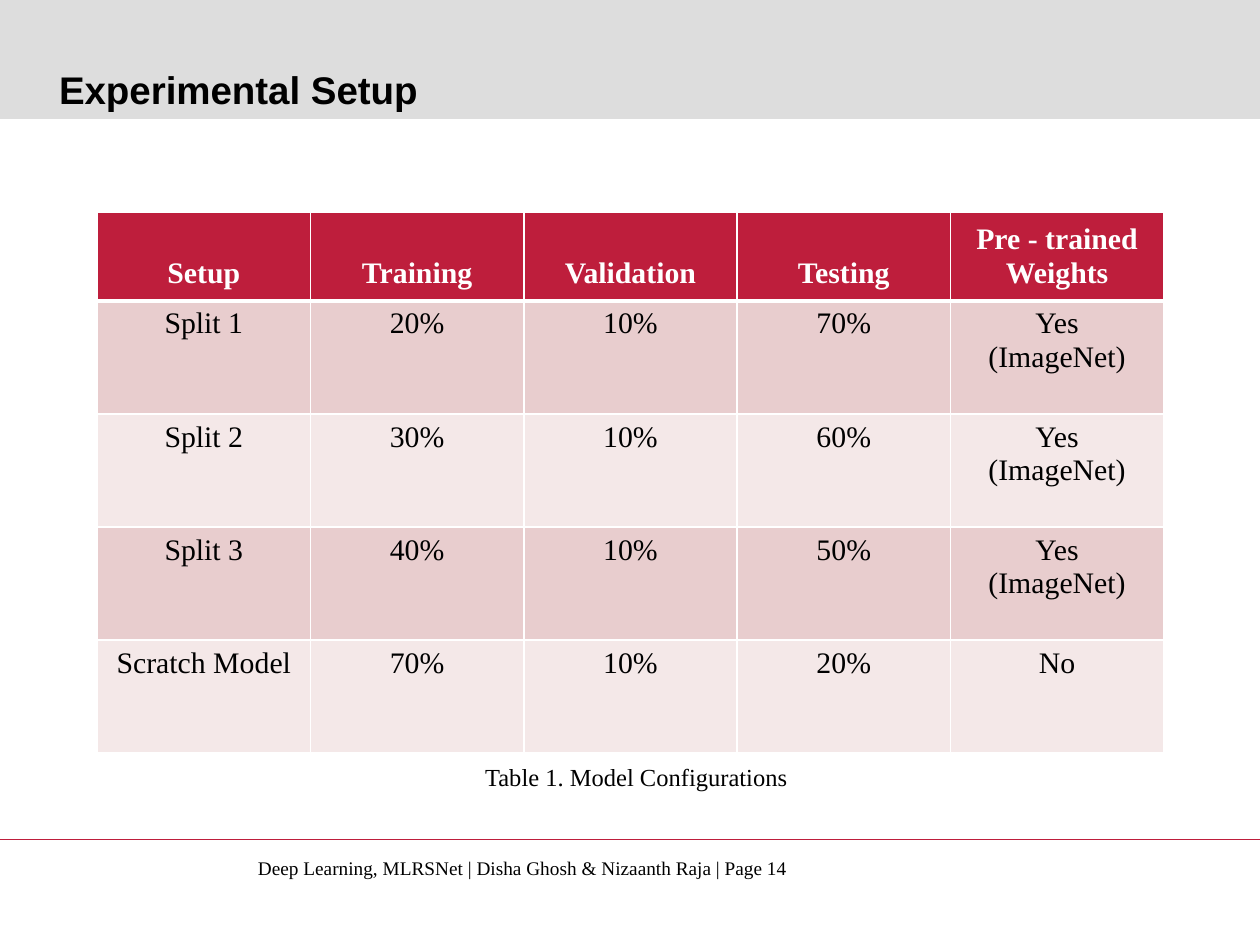
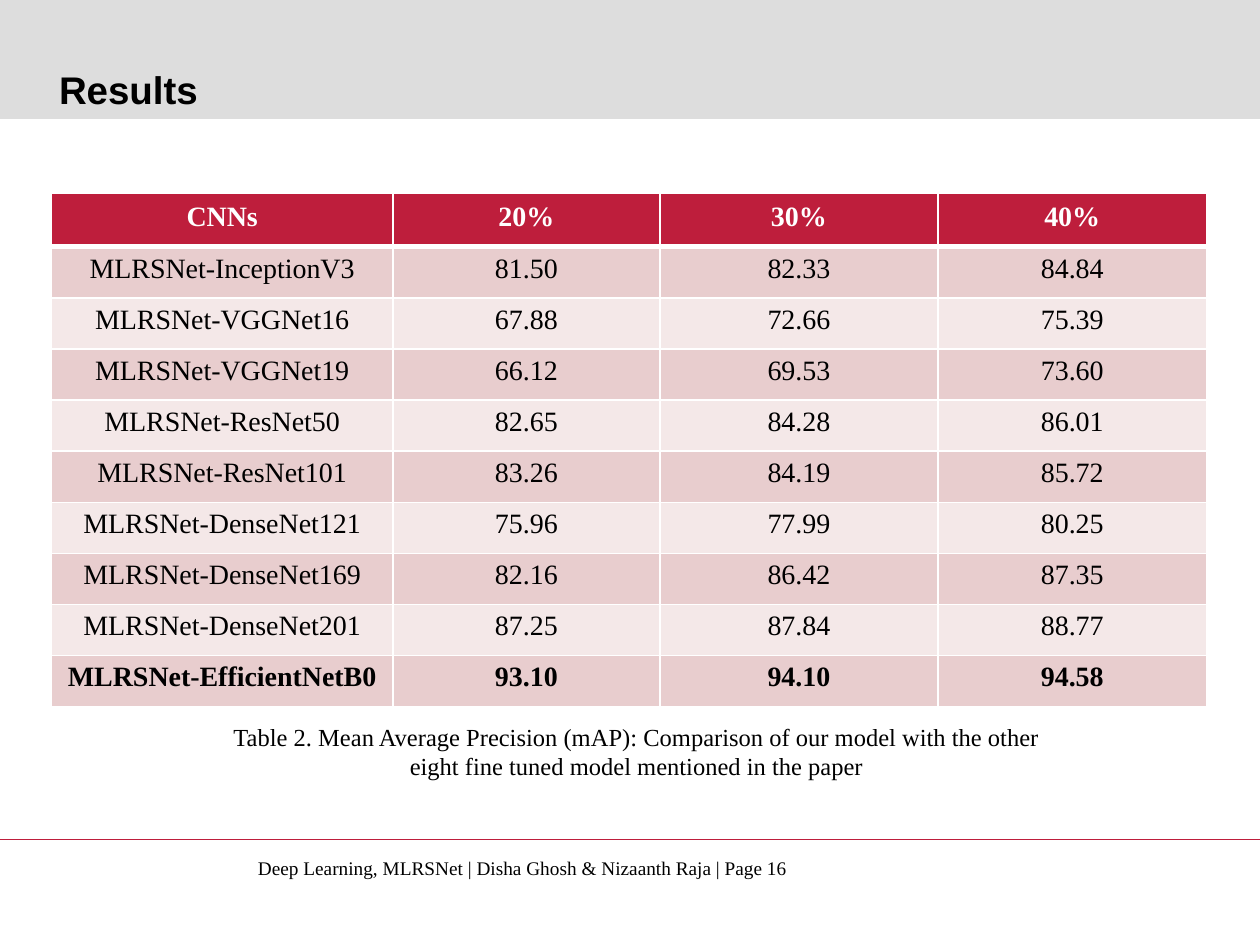
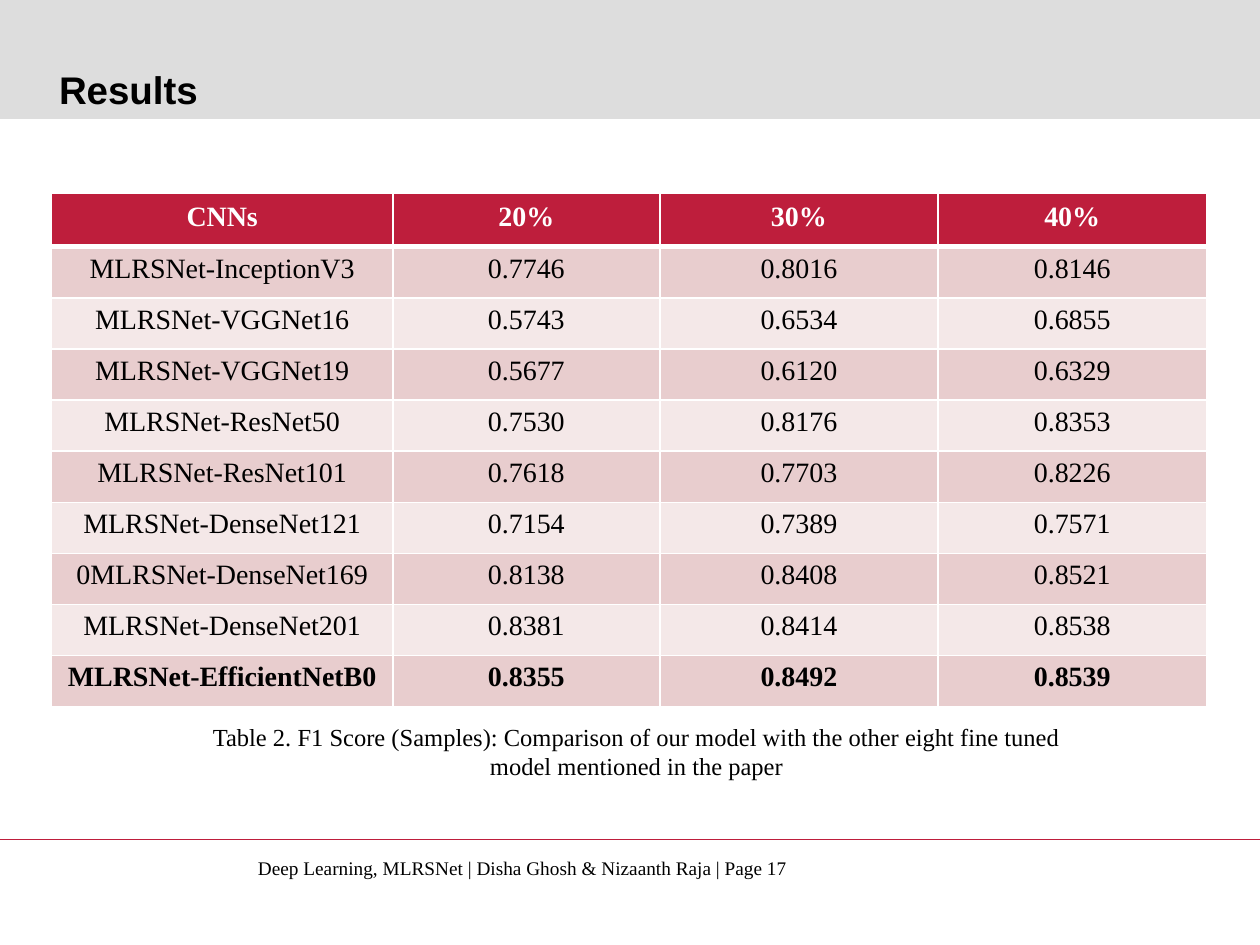
"""Build three table slides on the setup and results of an image-classification study."""
from dataclasses import dataclass

from lxml.etree import SubElement
from pptx import Presentation
from pptx.dml.color import RGBColor as RGB
from pptx.enum.shapes import MSO_CONNECTOR, MSO_SHAPE
from pptx.enum.text import MSO_ANCHOR, MSO_AUTO_SIZE, PP_ALIGN
from pptx.oxml.ns import qn
from pptx.util import Cm, Pt


@dataclass(frozen=True)
class Theme:
    red: str = "BE1E3C"
    band: str = "DDDDDD"
    rows: tuple = ("E8CDCE", "F4E8E8")
    ink: str = "000000"
    white: str = "FFFFFF"
    head_font: str = "Arial"
    text_font: str = "Times New Roman"
    title: int = 22
    caption: int = 14
    footer: int = 11


T = Theme()
WIDTH, HEIGHT = 25.4, 19.05
BAND_H, RULE_Y = 2.4, 16.92
TITLE_BOX = (1.19, 0.3, 23.27, 1.96)
FOOTER_BOX = (4.95, 17.14, 14.88, 0.74)
FOOTER = "Deep Learning, MLRSNet | Disha Ghosh & Nizaanth Raja | Page {}"

SETUP = [
    ("Setup", "Training", "Validation", "Testing", "Pre - trained\nWeights"),
    ("Split 1", "20%", "10%", "70%", "Yes (ImageNet)"),
    ("Split 2", "30%", "10%", "60%", "Yes (ImageNet)"),
    ("Split 3", "40%", "10%", "50%", "Yes (ImageNet)"),
    ("Scratch Model", "70%", "10%", "20%", "No"),
]
RESULT_HEAD = ("CNNs", "20%", "30%", "40%")
PRECISION = [
    RESULT_HEAD,
    ("MLRSNet-InceptionV3", "81.50", "82.33", "84.84"),
    ("MLRSNet-VGGNet16", "67.88", "72.66", "75.39"),
    ("MLRSNet-VGGNet19", "66.12", "69.53", "73.60"),
    ("MLRSNet-ResNet50", "82.65", "84.28", "86.01"),
    ("MLRSNet-ResNet101", "83.26", "84.19", "85.72"),
    ("MLRSNet-DenseNet121", "75.96", "77.99", "80.25"),
    ("MLRSNet-DenseNet169", "82.16", "86.42", "87.35"),
    ("MLRSNet-DenseNet201", "87.25", "87.84", "88.77"),
    ("MLRSNet-EfficientNetB0", "93.10", "94.10", "94.58"),
]
F1_SCORE = [
    RESULT_HEAD,
    ("MLRSNet-InceptionV3", "0.7746", "0.8016", "0.8146"),
    ("MLRSNet-VGGNet16", "0.5743", "0.6534", "0.6855"),
    ("MLRSNet-VGGNet19", "0.5677", "0.6120", "0.6329"),
    ("MLRSNet-ResNet50", "0.7530", "0.8176", "0.8353"),
    ("MLRSNet-ResNet101", "0.7618", "0.7703", "0.8226"),
    ("MLRSNet-DenseNet121", "0.7154", "0.7389", "0.7571"),
    ("0MLRSNet-DenseNet169", "0.8138", "0.8408", "0.8521"),
    ("MLRSNet-DenseNet201", "0.8381", "0.8414", "0.8538"),
    ("MLRSNet-EfficientNetB0", "0.8355", "0.8492", "0.8539"),
]

SETUP_STYLE = dict(at=(1.96, 4.27), cols=[4.3] * 5, head_h=1.7, row_h=2.28,
                   head_gap=0.23, size=17, bold_last=False)
RESULT_STYLE = dict(at=(1.04, 3.89), cols=[6.88, 5.38, 5.61, 5.41], head_h=1.03,
                    row_h=1.03, head_gap=0.28, size=16, bold_last=True)
SETUP_CAPTION = (5.77, 15.24, 14.12, 0.86)
RESULT_CAPTION = (3.96, 14.43, 17.75, 1.45)

SLIDES = [
    ("Experimental Setup", 14, SETUP, SETUP_STYLE, SETUP_CAPTION,
     "Table 1. Model Configurations"),
    ("Results", 16, PRECISION, RESULT_STYLE, RESULT_CAPTION,
     "Table 2. Mean Average Precision (mAP): Comparison of our model with the other "
     "eight fine tuned model mentioned in the paper"),
    ("Results", 17, F1_SCORE, RESULT_STYLE, RESULT_CAPTION,
     "Table 2. F1 Score (Samples): Comparison of our model with the other "
     "eight fine tuned model mentioned in the paper"),
]


def style(p, size, font=T.text_font, color=T.ink, bold=False, align=PP_ALIGN.LEFT):
    p.alignment = align
    p.font.size, p.font.name, p.font.bold = Pt(size), font, bold
    p.font.color.rgb = RGB.from_string(color)


def add_text(s, box, text, size, align=PP_ALIGN.LEFT):
    tf = s.shapes.add_textbox(*map(Cm, box)).text_frame
    tf.word_wrap = True
    tf.text = text
    style(tf.paragraphs[0], size, align=align)


def add_title(s, text):
    sp = s.shapes.title
    sp.left, sp.top, sp.width, sp.height = map(Cm, TITLE_BOX)
    tf = sp.text_frame
    tf.text = text
    tf.auto_size = MSO_AUTO_SIZE.NONE
    tf.vertical_anchor = MSO_ANCHOR.BOTTOM
    tf.margin_left = tf.margin_right = tf.margin_top = tf.margin_bottom = 0
    style(tf.paragraphs[0], T.title, T.head_font, bold=True)


def add_frame(s, layout):
    """Draw the title band and footer rule, and hand them to the layout."""
    band = s.shapes.add_shape(MSO_SHAPE.RECTANGLE, 0, 0, Cm(WIDTH), Cm(BAND_H))
    band.shadow.inherit = False
    band.fill.solid()
    band.fill.fore_color.rgb = RGB.from_string(T.band)
    band.line.fill.background()
    rule = s.shapes.add_connector(MSO_CONNECTOR.STRAIGHT, 0, Cm(RULE_Y), Cm(WIDTH), Cm(RULE_Y))
    rule.line.color.rgb = RGB.from_string(T.red)
    rule.line.width = Pt(0.75)
    SubElement(rule.element.spPr, qn("a:effectLst"))
    first = layout.shapes[0].element
    for sp in (band, rule):
        first.addprevious(sp.element)


def add_borders(cell, top, bottom):
    tc_pr = cell._tc.get_or_add_tcPr()
    for side, width in (("L", 1), ("R", 1), ("T", top), ("B", bottom)):
        ln = SubElement(tc_pr, qn(f"a:ln{side}"), w=str(Pt(width)))
        SubElement(SubElement(ln, qn("a:solidFill")), qn("a:srgbClr"), val=T.white)


def add_table(s, data, at, cols, head_h, row_h, head_gap, size, bold_last):
    heights = [head_h] + [row_h] * (len(data) - 1)
    table = s.shapes.add_table(len(data), len(cols), *map(Cm, at),
                               Cm(sum(cols)), Cm(sum(heights))).table
    for col, width in zip(table.columns, cols):
        col.width = Cm(width)
    for i, (row, height, texts) in enumerate(zip(table.rows, heights, data)):
        row.height = Cm(height)
        head = i == 0
        bold = head or (bold_last and i == len(data) - 1)
        for cell, text in zip(row.cells, texts):
            add_borders(cell, 3 if i == 1 else 1, 3 if head else 1)
            cell.fill.solid()
            cell.fill.fore_color.rgb = RGB.from_string(T.red if head else T.rows[(i - 1) % 2])
            if head:
                cell.vertical_anchor = MSO_ANCHOR.BOTTOM
                cell.margin_bottom = Cm(head_gap)
            cell.text = text
            for p in cell.text_frame.paragraphs:
                style(p, size, color=T.white if head else T.ink, bold=bold,
                      align=PP_ALIGN.CENTER)


def main():
    prs = Presentation()
    prs.slide_width, prs.slide_height = Cm(WIDTH), Cm(HEIGHT)
    layout = prs.slide_layouts[5]
    for n, (title, page, data, look, caption_box, caption) in enumerate(SLIDES):
        s = prs.slides.add_slide(layout)
        if n == 0:
            add_frame(s, layout)
        add_title(s, title)
        add_text(s, FOOTER_BOX, FOOTER.format(page), T.footer)
        add_table(s, data, **look)
        add_text(s, caption_box, caption, T.caption, PP_ALIGN.CENTER)
    prs.save("out.pptx")


if __name__ == "__main__":
    main()
